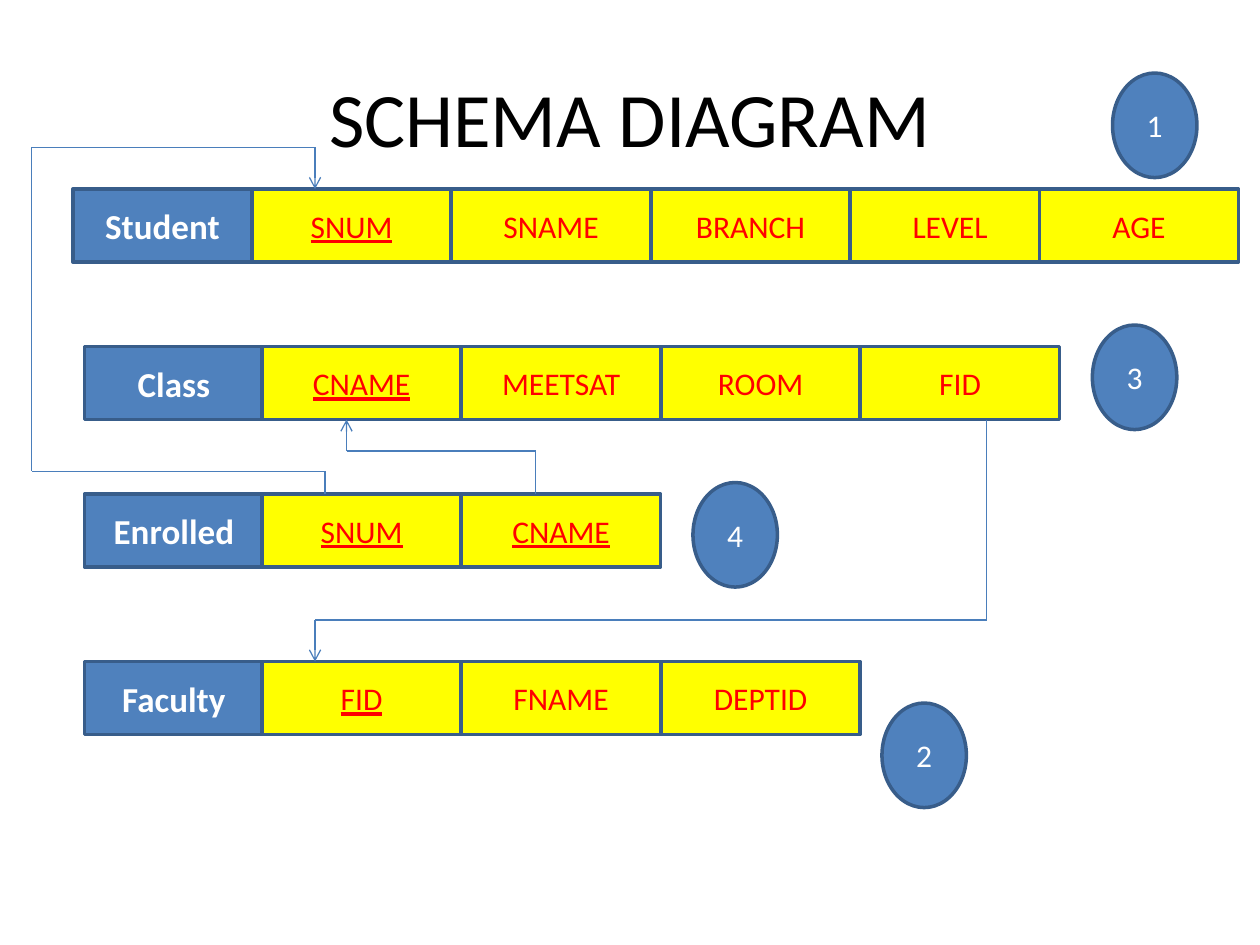
from pptx import Presentation
from pptx.dml.color import RGBColor
from pptx.enum.shapes import MSO_CONNECTOR, MSO_SHAPE
from pptx.enum.text import MSO_ANCHOR, PP_ALIGN
from pptx.oxml.ns import qn
from pptx.util import Inches, Pt
from lxml import etree

COLORS = {
    "black": "000000", "white": "FFFFFF", "red": "FF0000", "yellow": "FFFF00",
    "blue": "4F81BD", "border": "385D8A", "link": "4A7EBB",
}
LABEL_W, FIELD_W, ROW_H = 1.42, 1.58, 0.58
FIELD_STEP = 19 / 12

# Table name, left, top, left of first field, fields, number of key fields
TABLES = [
    ("Student", 0.58, 1.5, 2, ["SNUM", "SNAME", "BRANCH", "LEVEL", "AGE"], 1),
    ("Class", 0.67, 2.75, 2.08, ["CNAME", "MEETSAT", "ROOM", "FID"], 1),
    ("Enrolled", 0.67, 3.92, 2.08, ["SNUM", "CNAME"], 2),
    ("Faculty", 0.67, 5.25, 2.08, ["FID", "FNAME", "DEPTID"], 1),
]
LAST_FIELD_X = 8.25  # keeps the longest row on the slide

# Corner points of each foreign-key link, ending at the referenced key
LINKS = [
    [(2.58, 3.92), (2.58, 3.74), (0.25, 3.74), (0.25, 1.17), (2.5, 1.17), (2.5, 1.5)],
    [(4.25, 3.92), (4.25, 3.58), (2.75, 3.58), (2.75, 3.33)],
    [(7.83, 3.33), (7.83, 4.92), (2.5, 4.92), (2.5, 5.25)],
]
BADGES = [("1", 8.83, 0.58), ("2", 7, 5.58), ("3", 8.67, 2.58), ("4", 5.5, 3.83)]


def rgb(name):
    return RGBColor.from_string(COLORS[name])


def write(shape, text, size=18, color="white", bold=False, underline=False):
    tf = shape.text_frame
    tf.word_wrap = True
    tf.vertical_anchor = MSO_ANCHOR.MIDDLE
    p = tf.paragraphs[0]
    p.alignment = PP_ALIGN.CENTER
    r = p.add_run()
    r.text = text
    r.font.name = "Calibri"
    r.font.size = Pt(size)
    r.font.color.rgb = rgb(color)
    r.font.bold = bold
    r.font.underline = underline


def add_box(s, text, x, y, w, h, fill="blue", kind=MSO_SHAPE.RECTANGLE, **fmt):
    sp = s.shapes.add_shape(kind, Inches(x), Inches(y), Inches(w), Inches(h))
    sp.shadow.inherit = False
    sp.fill.solid()
    sp.fill.fore_color.rgb = rgb(fill)
    sp.line.color.rgb = rgb("border")
    sp.line.width = Pt(2)
    write(sp, text, **fmt)


def add_table_row(s, name, left, top, first, fields, keys):
    add_box(s, name, left, top, LABEL_W, ROW_H, size=20, bold=True)
    for i, field in enumerate(fields):
        x = min(first + i * FIELD_STEP, LAST_FIELD_X)
        add_box(s, field, x, top, FIELD_W, ROW_H, fill="yellow",
                color="red", underline=i < keys)


def add_link(s, points):
    for start, end in zip(points, points[1:]):
        line = s.shapes.add_connector(
            MSO_CONNECTOR.STRAIGHT, *(Inches(v) for v in start + end))
        line.line.color.rgb = rgb("link")
        line.line.width = Pt(0.75)
        etree.SubElement(line._element.spPr, qn("a:effectLst"))
    # Arrowhead on the last segment
    etree.SubElement(line.line._get_or_add_ln(), qn("a:tailEnd"), type="arrow")


def add_title(s, text):
    title = s.shapes.title
    title.left, title.top = Inches(0.5), Inches(0.3)
    title.width, title.height = Inches(9), Inches(1.25)
    write(title, text, size=44, color="black")


def main():
    prs = Presentation()
    prs.slide_width, prs.slide_height = Inches(10), Inches(7.5)
    s = prs.slides.add_slide(prs.slide_layouts[5])

    add_title(s, "SCHEMA DIAGRAM")
    for table in TABLES:
        add_table_row(s, *table)
    for points in LINKS:
        add_link(s, points)
    for number, x, y in BADGES:
        add_box(s, number, x, y, 0.67, 0.83, kind=MSO_SHAPE.OVAL)

    prs.save("out.pptx")


if __name__ == "__main__":
    main()
